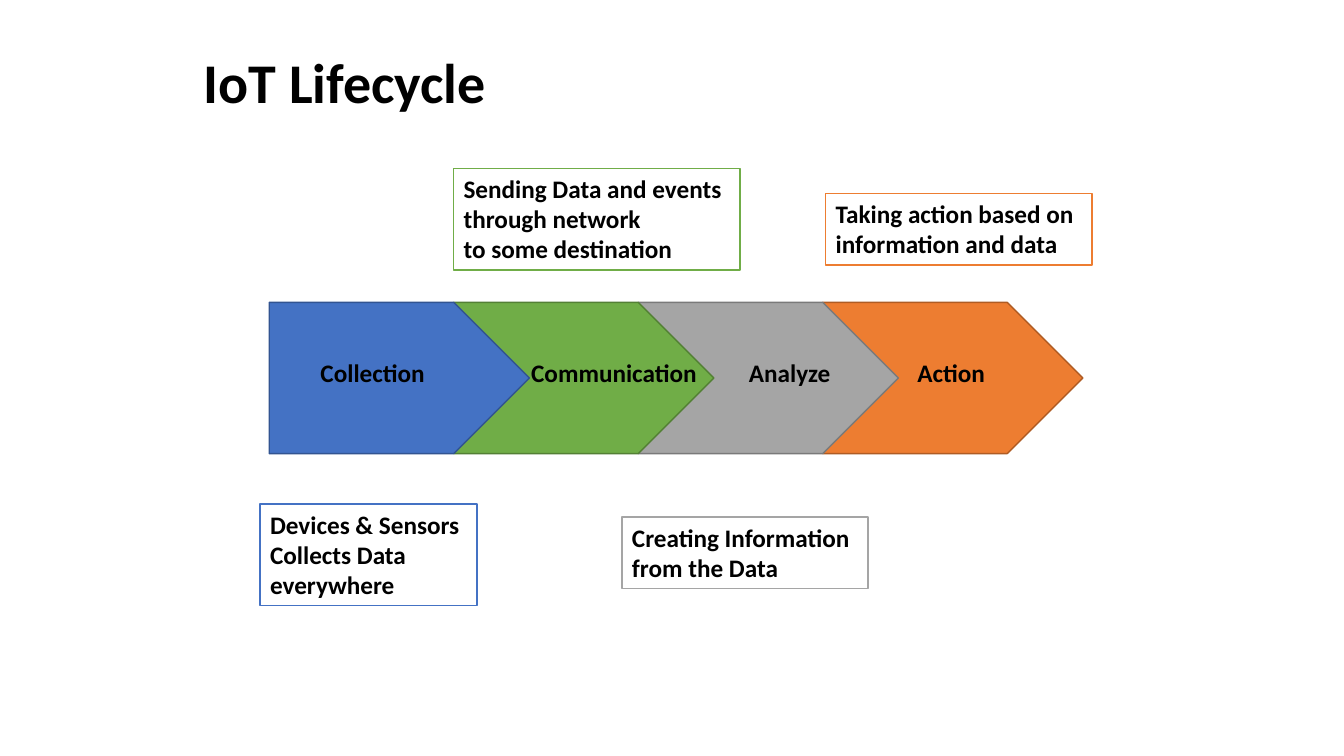
"""Builds the IoT Lifecycle slide: four chained stages with a note for each."""
import pptx
import pptx.dml.color
import pptx.enum.shapes
import pptx.enum.text
import pptx.util
from dataclasses import dataclass

PX = 9144


@dataclass(frozen=True)
class Theme:
    font: str = "Calibri"
    title_size: int = 40
    body_size: int = 18
    text: str = "000000"
    paper: str = "FFFFFF"
    blue: tuple = ("4472C4", "325491")
    green: tuple = ("70AD47", "538035")
    gray: tuple = ("A5A5A5", "7A7A7A")
    orange: tuple = ("ED7D31", "AF5C24")


theme = Theme()


def write(shape, lines, size, wrap):
    frame = shape.text_frame
    frame.text = "\n".join(lines)
    frame.word_wrap = wrap
    frame.auto_size = pptx.enum.text.MSO_AUTO_SIZE.SHAPE_TO_FIT_TEXT
    frame.vertical_anchor = pptx.enum.text.MSO_ANCHOR.TOP
    for paragraph in frame.paragraphs:
        paragraph.alignment = pptx.enum.text.PP_ALIGN.LEFT
        paragraph.font.name = theme.font
        paragraph.font.size = pptx.util.Pt(size)
        paragraph.font.bold = True
        paragraph.font.color.rgb = pptx.dml.color.RGBColor.from_string(theme.text)


def add_outlined(kind, box, fill, line):
    shape = slide.shapes.add_shape(kind, *(side * PX for side in box))
    shape.shadow.inherit = False
    shape.fill.solid()
    shape.fill.fore_color.rgb = pptx.dml.color.RGBColor.from_string(fill)
    shape.line.color.rgb = pptx.dml.color.RGBColor.from_string(line)
    shape.line.width = pptx.util.Pt(1)
    return shape


deck = pptx.Presentation()
deck.slide_width, deck.slide_height = 1333 * PX, 750 * PX
slide = deck.slides.add_slide(deck.slide_layouts[5])

title = slide.shapes.title
title.left, title.top, title.width, title.height = (side * PX for side in (192, 42, 316, 77))
write(title, ["IoT Lifecycle"], theme.title_size, False)

stages = [
    ("Collection", theme.blue, (308, 350, 175, 40),
     ["Devices & Sensors", "Collects Data", "everywhere"], (258, 500, 215, 101)),
    ("Communication", theme.green, (517, 350, 216, 40),
     ["Sending Data and events", "through network", "to some destination"], (450, 167, 284, 101)),
    ("Analyze", theme.gray, (733, 350, 192, 40),
     ["Creating Information", "from the Data"], (617, 513, 244, 71)),
    ("Action", theme.orange, (900, 350, 192, 40),
     ["Taking action based on", "information and data"], (819, 192, 264, 71)),
]

first_left, stage_step = 267, 183
for position, (_, (fill, edge), *_) in reversed(list(enumerate(stages))):
    arrow_box = (first_left + position * stage_step, 300, 258, 150)
    add_outlined(pptx.enum.shapes.MSO_SHAPE.PENTAGON, arrow_box, fill, edge)

for stage, (accent, _), label_box, note_lines, note_box in stages:
    label = slide.shapes.add_textbox(*(side * PX for side in label_box))
    write(label, [stage], theme.body_size, True)
    note = add_outlined(pptx.enum.shapes.MSO_SHAPE.RECTANGLE, note_box, theme.paper, accent)
    write(note, note_lines, theme.body_size, False)

deck.save("out.pptx")
